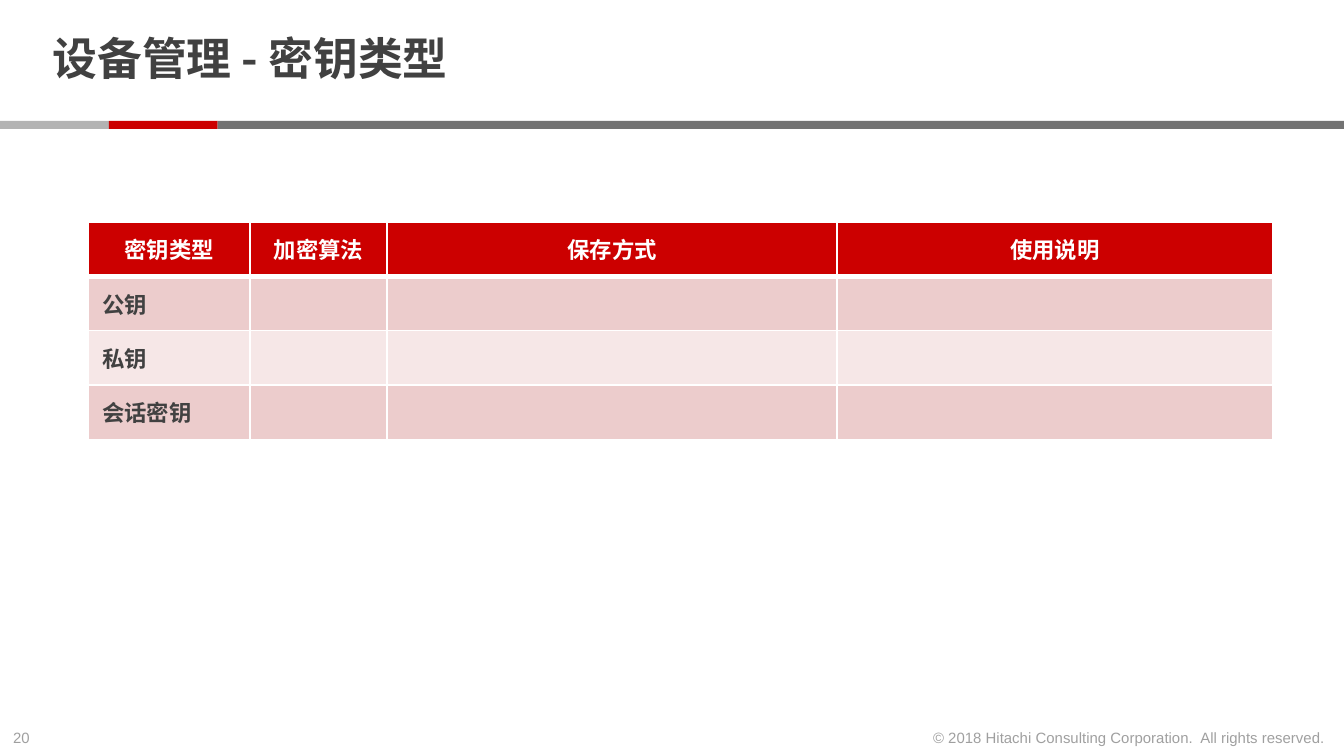
from lxml.etree import SubElement
from pptx import Presentation
from pptx.dml.color import RGBColor
from pptx.enum.shapes import MSO_SHAPE
from pptx.enum.text import MSO_ANCHOR as Anchor, PP_ALIGN as Align
from pptx.oxml import parse_xml
from pptx.oxml.ns import nsdecls, qn
from pptx.util import Inches, Pt

CJK, LATIN = "Noto Sans CJK SC", "Arial"
INK, RED, WHITE = "414141", "CC0000", "FFFFFF"
BANDS = ["ECCCCC", "F6E7E7"]
SLIDE_WIDTH = 10
SLIDE_HEIGHT = SLIDE_WIDTH * 9 / 16
COLUMN_WIDTHS = [1.2, 1.02, 3.35, 3.24]
HEADINGS = ["密钥类型", "加密算法", "保存方式", "使用说明"]
KEY_TYPES = ["公钥", "私钥", "会话密钥"]


def color(value):
    return RGBColor.from_string(value)


def write(frame, text, size=12, font=CJK, ink=INK, bold=False, align=None,
          spacing=None, opacity=None):
    paragraph = frame.paragraphs[0]
    paragraph.alignment = align
    paragraph.line_spacing = spacing
    run = paragraph.add_run()
    run.text = text
    run.font.size = Pt(size)
    run.font.bold = bold
    run.font.name = font
    run.font.color.rgb = color(ink)
    properties = run.font._element
    SubElement(properties, qn("a:ea"), typeface=font)
    if opacity is not None:
        fill = properties.find(qn("a:solidFill"))
        SubElement(fill[0], qn("a:alpha"), val=str(opacity * 1000))


def add_title(slide, text, left, top, width, height):
    title = slide.shapes.title
    title.left, title.top = Inches(left), Inches(top)
    title.width, title.height = Inches(width), Inches(height)
    frame = title.text_frame
    frame.word_wrap = True
    frame.vertical_anchor = Anchor.MIDDLE
    frame.margin_left = frame.margin_right = Inches(0.1)
    frame.margin_top = frame.margin_bottom = 0
    write(frame, text, size=24, bold=True, align=Align.LEFT, spacing=0.85)


def add_divider(slide, left, top, width, height):
    short = 0.81
    segments = [(short, "B3B3B3"), (short, RED), (width - 2 * short, "737373")]
    for length, fill in segments:
        bar = slide.shapes.add_shape(MSO_SHAPE.RECTANGLE, Inches(left), Inches(top),
                                     Inches(length), Inches(height))
        bar.shadow.inherit = False
        bar.fill.solid()
        bar.fill.fore_color.rgb = color(fill)
        bar.line.fill.background()
        left += length


def add_footer_text(slide, text, left, top, width, height, align=Align.LEFT):
    box = slide.shapes.add_textbox(Inches(left), Inches(top), Inches(width), Inches(height))
    box.text_frame.word_wrap = False
    write(box.text_frame, text, size=8, font=LATIN, align=align, opacity=50)


def set_borders(cell, **widths):
    """Give the cell white borders; sides are L, R, T and B, in points."""
    properties = cell._tc.get_or_add_tcPr()
    for position, side in enumerate("LRTB"):
        properties.insert(position, parse_xml(
            f'<a:ln{side} {nsdecls("a")} w="{Pt(widths.get(side, 1))}"><a:solidFill>'
            f'<a:srgbClr val="{WHITE}"/></a:solidFill></a:ln{side}>'))


def add_key_table(slide, left, top, width, height):
    rows = [HEADINGS] + [[key] + [""] * (len(HEADINGS) - 1) for key in KEY_TYPES]
    table = slide.shapes.add_table(len(rows), len(HEADINGS), Inches(left), Inches(top),
                                   Inches(width), Inches(height)).table
    for column, column_width in zip(table.columns, COLUMN_WIDTHS):
        column.width = Inches(column_width)
    for r, row in enumerate(rows):
        header = r == 0
        for c, text in enumerate(row):
            cell = table.cell(r, c)
            cell.vertical_anchor = Anchor.MIDDLE
            cell.margin_top = cell.margin_bottom = Inches(0.03)
            set_borders(cell, T=3 if r == 1 else 1, B=3 if header else 1)
            cell.fill.solid()
            cell.fill.fore_color.rgb = color(RED if header else BANDS[(r - 1) % 2])
            if text:
                write(cell.text_frame, text, bold=True, ink=WHITE if header else INK,
                      align=Align.CENTER if header else Align.LEFT)


def main():
    deck = Presentation()
    deck.slide_width, deck.slide_height = Inches(SLIDE_WIDTH), Inches(SLIDE_HEIGHT)
    slide = deck.slides.add_slide(deck.slide_layouts[5])
    add_footer_text(slide, "20", 0, 5.37, 0.34, 0.24)
    add_divider(slide, 0, 0.9, SLIDE_WIDTH, 0.06)
    add_footer_text(slide, "© 2018 Hitachi Consulting Corporation.  All rights reserved.",
                    6.8, 5.37, 3.16, 0.24, align=Align.RIGHT)
    add_title(slide, "设备管理 - 密钥类型", 0.29, 0.06, 7.71, 0.8)
    add_key_table(slide, 0.66, 1.65, sum(COLUMN_WIDTHS), 1.62)
    deck.save("out.pptx")


if __name__ == "__main__":
    main()
